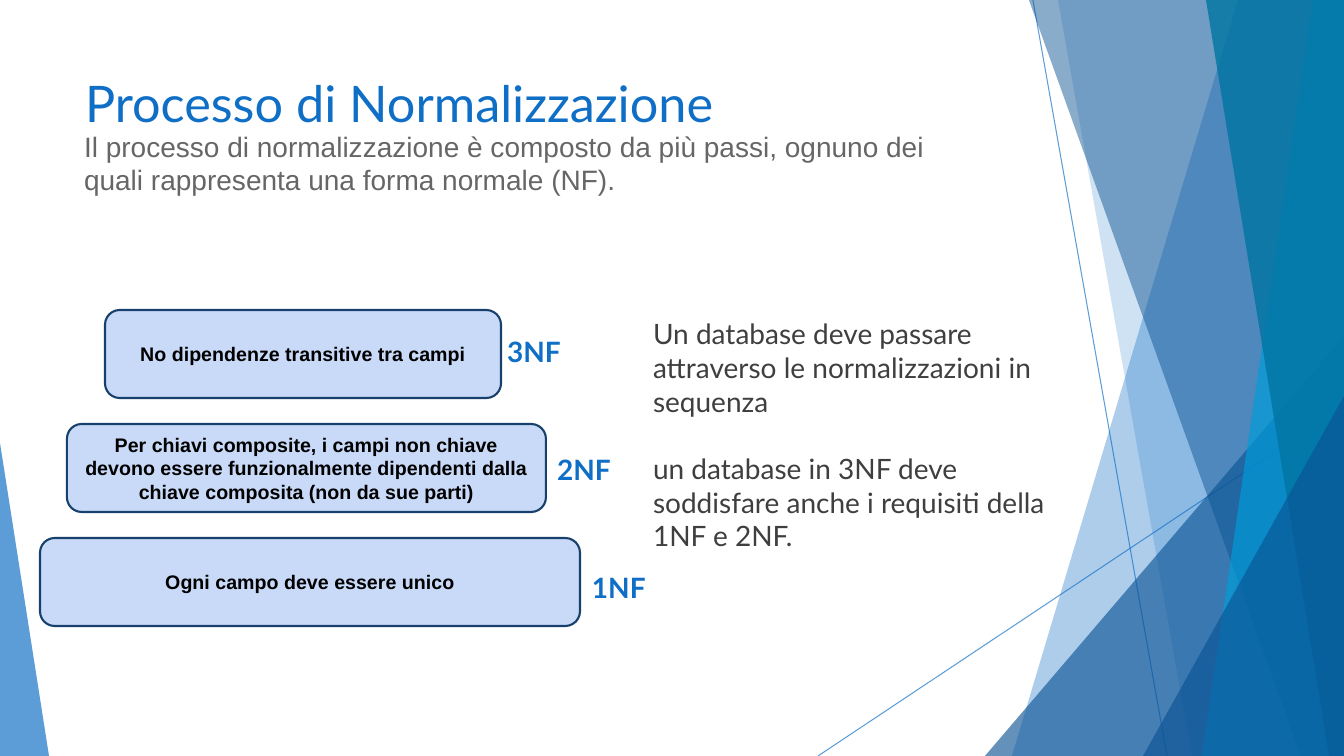
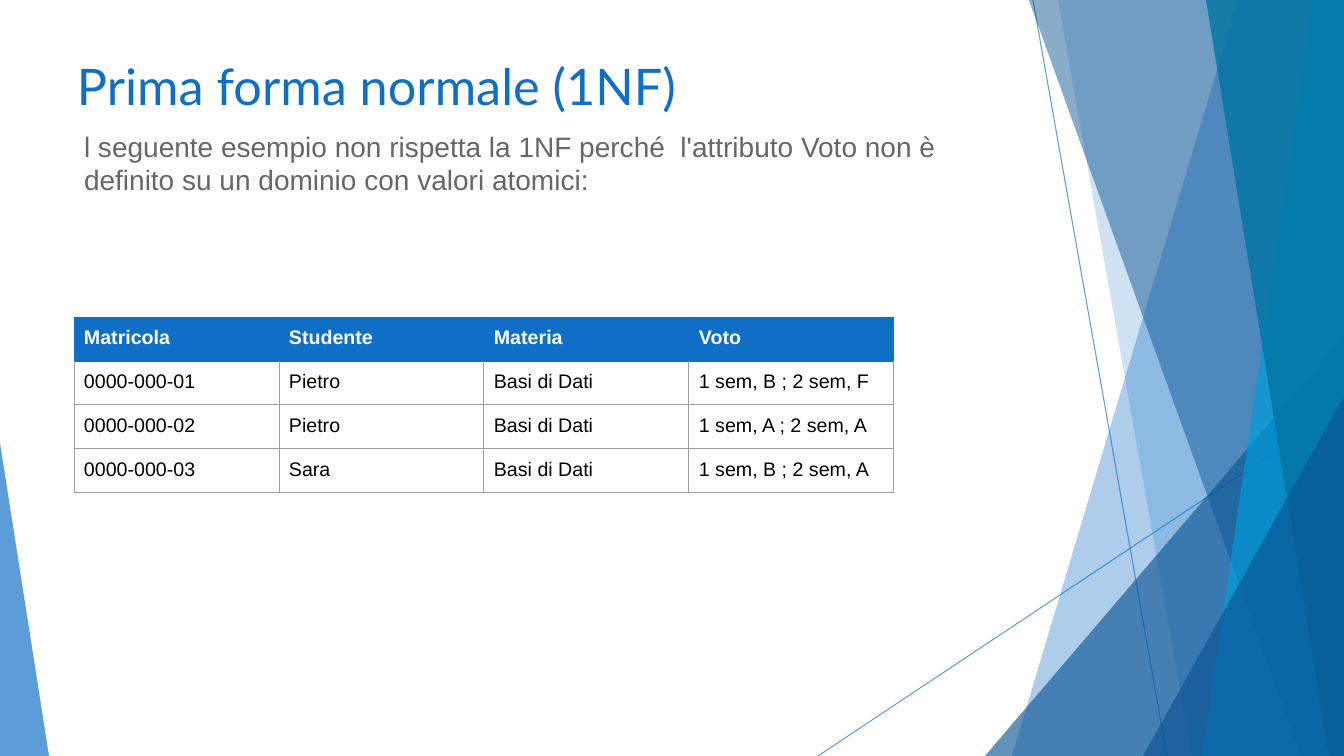
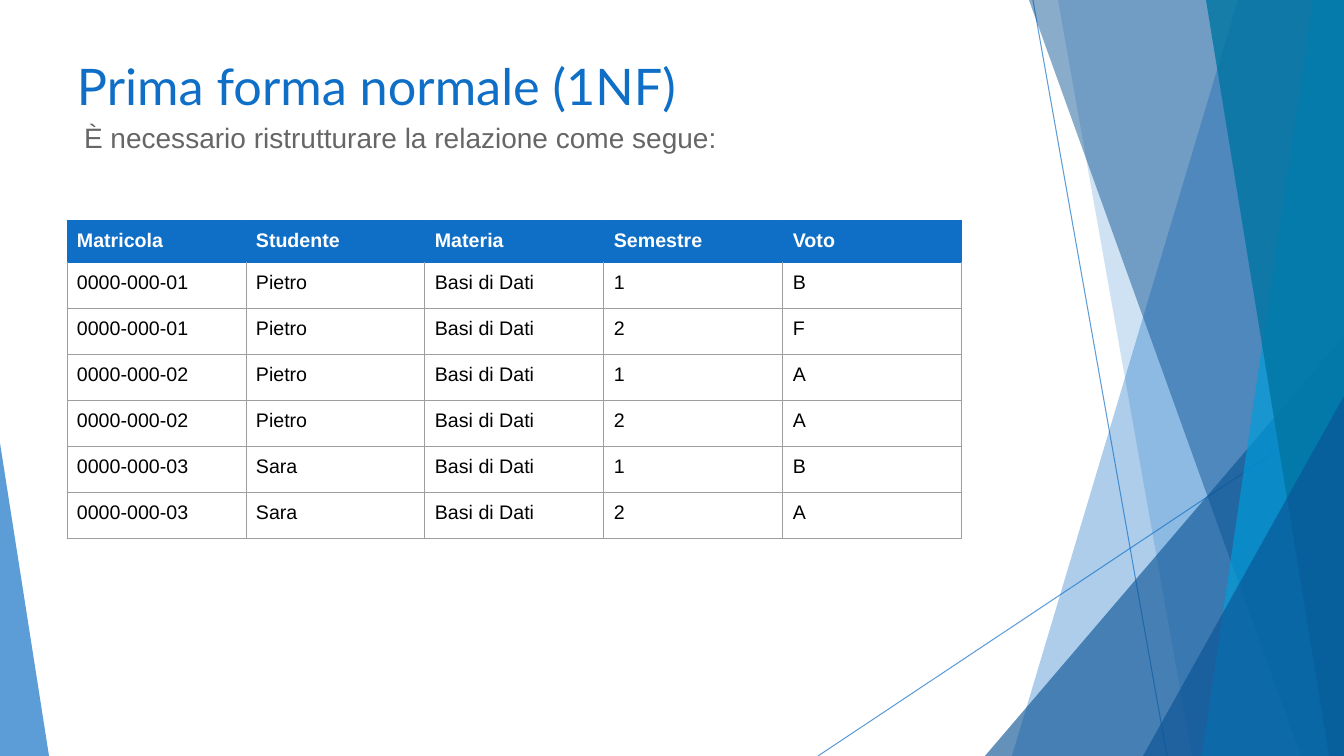
from lxml.etree import SubElement
from pptx import Presentation
from pptx.dml.color import RGBColor
from pptx.enum.shapes import MSO_CONNECTOR, MSO_SHAPE
from pptx.enum.text import MSO_ANCHOR, MSO_AUTO_SIZE, PP_ALIGN
from pptx.oxml.ns import qn
from pptx.util import Emu, Pt

# Style
SCALE = 914400 / 100.8
WIDTH, HEIGHT = 1344, 756
BLUE = RGBColor(0x0F, 0x6F, 0xC6)
DEEP_BLUE = RGBColor(0x0B, 0x53, 0x94)
SKY = RGBColor(0x00, 0x9D, 0xD9)
TEAL = RGBColor(0x00, 0x75, 0xA2)
NAVY = RGBColor(0x17, 0x40, 0x6D)
PALE = RGBColor(0xC9, 0xDA, 0xF8)
WHITE = RGBColor(0xFF, 0xFF, 0xFF)
BLACK = RGBColor(0x00, 0x00, 0x00)
DARK = RGBColor(0x3F, 0x3F, 0x3F)
GREY = RGBColor(0x66, 0x66, 0x66)
RULE = RGBColor(0x9E, 0x9E, 0x9E)
HEADING, PLAIN = "Lato", "Arial"


def px(value):
    return Emu(round(value * SCALE))


def set_alpha(element, percent):
    color = next(element.iter(qn("a:srgbClr")))
    SubElement(color, qn("a:alpha")).set("val", str(percent * 1000))


class Deck:
    def __init__(self):
        self.deck = Presentation()
        self.deck.slide_width, self.deck.slide_height = px(WIDTH), px(HEIGHT)
        self.layout = self.deck.slide_layouts[1]
        self.page = None

    def new_page(self):
        self.page = self.deck.slides.add_slide(self.layout)

    # Text
    def add_span(self, para, text, size, font, color, bold=False):
        span = para.add_run()
        span.text = text
        span.font.size, span.font.name, span.font.bold = Pt(size), font, bold
        span.font.color.rgb = color

    def frame(self, shape, anchor=MSO_ANCHOR.TOP, side=10, edge=10):
        frame = shape.text_frame
        frame.word_wrap = True
        frame.auto_size = MSO_AUTO_SIZE.NONE
        frame.vertical_anchor = anchor
        frame.margin_left = frame.margin_right = px(side)
        frame.margin_top = frame.margin_bottom = px(edge)
        return frame

    def placeholder(self, shape, left, top):
        shape.left, shape.top = px(left), px(top)
        shape.width, shape.height = px(948), px(145)
        para = self.frame(shape, edge=5).paragraphs[0]
        para.alignment = PP_ALIGN.LEFT
        para.space_before = Pt(0)
        return para

    def title(self, text, left, top):
        para = self.placeholder(self.page.shapes.title, left, top)
        self.add_span(para, text, 36, HEADING, BLUE)

    def body(self, text, top):
        para = self.placeholder(self.page.placeholders[1], 24, top)
        properties = para._p.get_or_add_pPr()
        properties.set("marL", str(px(50)))
        properties.set("indent", "0")
        SubElement(properties, qn("a:buNone"))
        self.add_span(para, text, 20, PLAIN, GREY)

    def text(self, texts, left, top, width, height, color, bold=False):
        box = self.page.shapes.add_textbox(px(left), px(top), px(width), px(height))
        frame = self.frame(box)
        for index, text in enumerate(texts):
            para = frame.add_paragraph() if index else frame.paragraphs[0]
            para.space_before = Pt(24 if index else 0)
            self.add_span(para, text, 20, HEADING, color, bold)

    # Shapes
    def box(self, text, left, top, width, height):
        box = self.page.shapes.add_shape(
            MSO_SHAPE.ROUNDED_RECTANGLE, px(left), px(top), px(width), px(height))
        box.shadow.inherit = False
        box.fill.solid()
        box.fill.fore_color.rgb = PALE
        box.line.color.rgb = NAVY
        box.line.width = Pt(1.5)
        para = self.frame(box, MSO_ANCHOR.MIDDLE).paragraphs[0]
        para.alignment = PP_ALIGN.CENTER
        self.add_span(para, text, 14, PLAIN, BLACK, True)

    def glass(self, shape, color, alpha):
        shape.shadow.inherit = False
        shape.fill.solid()
        shape.fill.fore_color.rgb = color
        set_alpha(shape.element.spPr, alpha)
        shape.line.fill.background()

    def band(self, top_x, bottom_x, color, alpha):
        outline = self.page.shapes.build_freeform(top_x, 0, scale=SCALE)
        outline.add_line_segments([(WIDTH, 0), (WIDTH, HEIGHT), (bottom_x, HEIGHT)])
        self.glass(outline.convert_to_shape(), color, alpha)

    def corner(self, left, top, width, apex, color, alpha):
        shape = self.page.shapes.add_shape(
            MSO_SHAPE.ISOSCELES_TRIANGLE, px(left), px(top), px(width), px(HEIGHT - top))
        shape.adjustments[0] = apex
        self.glass(shape, color, alpha)

    def line(self, *ends):
        line = self.page.shapes.add_connector(
            MSO_CONNECTOR.STRAIGHT, *[px(end) for end in ends])
        line.line.color.rgb = BLUE
        line.line.width = Pt(0.75)
        properties = line.element.spPr
        set_alpha(properties, 68)
        SubElement(properties, qn("a:effectLst"))

    def backdrop(self):
        """Draws the facets on the current slide and moves them to its layout."""
        self.line(1033, 0, 1167, HEIGHT)
        self.line(WIDTH, 406, 818, HEIGHT)
        self.band(1238, 1012, BLUE, 34)
        self.band(1058, 1192, BLUE, 20)
        self.corner(985, 336, 359, 1, DEEP_BLUE, 64)
        self.band(1029, 1301, DEEP_BLUE, 48)
        self.band(1313, 1202, SKY, 68)
        self.band(1206, 1329, TEAL, 80)
        self.corner(1143, 396, 201, 1, DEEP_BLUE, 64)
        self.corner(0, 443, 49, 0, BLUE, 68)
        facets = [shape.element for shape in self.page.shapes if not shape.is_placeholder]
        for index, facet in enumerate(facets):
            next(facet.iter(qn("p:cNvPr"))).set("id", str(100 + index))
            self.layout.shapes.element.insert(2 + index, facet)

    # Tables
    def border(self, cell, side, color):
        line = SubElement(cell._tc.get_or_add_tcPr(), qn("a:" + side), w=str(Pt(0.75)))
        fill = SubElement(line, qn("a:solidFill"))
        SubElement(fill, qn("a:srgbClr"), val=str(color))

    def table(self, rows, left, top, column_width, header_height, row_height):
        columns = len(rows[0])
        height = header_height + row_height * (len(rows) - 1)
        table = self.page.shapes.add_table(
            len(rows), columns, px(left), px(top),
            px(column_width * columns), px(height)).table
        table.first_row = table.horz_banding = False
        for column in table.columns:
            column.width = px(column_width)
        for number, texts in enumerate(rows):
            header = number == 0
            table.rows[number].height = px(header_height if header else row_height)
            for index, text in enumerate(texts):
                cell = table.cell(number, index)
                cell.margin_left = cell.margin_right = px(10)
                cell.margin_top = cell.margin_bottom = px(10)
                for side in ("lnL", "lnR", "lnT", "lnB"):
                    blue = header or (number == 1 and side == "lnT")
                    self.border(cell, side, BLUE if blue else RULE)
                if header:
                    cell.fill.solid()
                    cell.fill.fore_color.rgb = BLUE
                else:
                    cell.fill.background()
                self.add_span(cell.text_frame.paragraphs[0], text, 14, PLAIN,
                              WHITE if header else BLACK, header)


def main():
    deck = Deck()
    subject = "Basi di Dati"

    # Slide 1: the steps of normalization
    deck.new_page()
    deck.backdrop()
    deck.title("Processo di Normalizzazione", 75, 67)
    deck.body("Il processo di normalizzazione è composto da più passi, ognuno dei "
              "quali rappresenta una forma normale (NF).", 124)
    steps = [
        ("3NF", "No dipendenze transitive tra campi", 105, 396, 497),
        ("2NF", "Per chiavi composite, i campi non chiave devono essere funzionalmente "
                "dipendenti dalla chiave composita (non da sue parti)", 67, 479, 547),
        ("1NF", "Ogni campo deve essere unico", 40, 540, 582),
    ]
    for index, (name, rule, left, width, name_left) in enumerate(steps):
        deck.box(rule, left, 310 + 114 * index, width, 88)
        deck.text([name], name_left, 325 + 118 * index, 76, 55, BLUE, True)
    deck.text(["Un database deve passare attraverso le normalizzazioni in sequenza",
               "un database in 3NF deve soddisfare anche i requisiti della 1NF e 2NF."],
              643, 307, 415, 260, DARK)

    # Slide 2: a relation that breaks the first normal form
    deck.new_page()
    deck.title("Prima forma normale (1NF)", 67, 50)
    deck.body("l seguente esempio non rispetta la 1NF perché  l'attributo Voto non è "
              "definito su un dominio con valori atomici:", 124)
    deck.table([
        ("Matricola", "Studente", "Materia", "Voto"),
        ("0000-000-01", "Pietro", subject, "1 sem, B ; 2 sem, F"),
        ("0000-000-02", "Pietro", subject, "1 sem, A ; 2 sem, A"),
        ("0000-000-03", "Sara", subject, "1 sem, B ; 2 sem, A"),
    ], 74, 317, 205, 44, 44)

    # Slide 3: the relation restructured
    deck.new_page()
    deck.title("Prima forma normale (1NF)", 67, 50)
    deck.body("È necessario ristrutturare la relazione come segue:", 115)
    deck.table([
        ("Matricola", "Studente", "Materia", "Semestre", "Voto"),
        ("0000-000-01", "Pietro", subject, "1", "B"),
        ("0000-000-01", "Pietro", subject, "2", "F"),
        ("0000-000-02", "Pietro", subject, "1", "A"),
        ("0000-000-02", "Pietro", subject, "2", "A"),
        ("0000-000-03", "Sara", subject, "1", "B"),
        ("0000-000-03", "Sara", subject, "2", "A"),
    ], 67, 220, 179, 42, 46)

    deck.deck.save("out.pptx")


if __name__ == "__main__":
    main()
